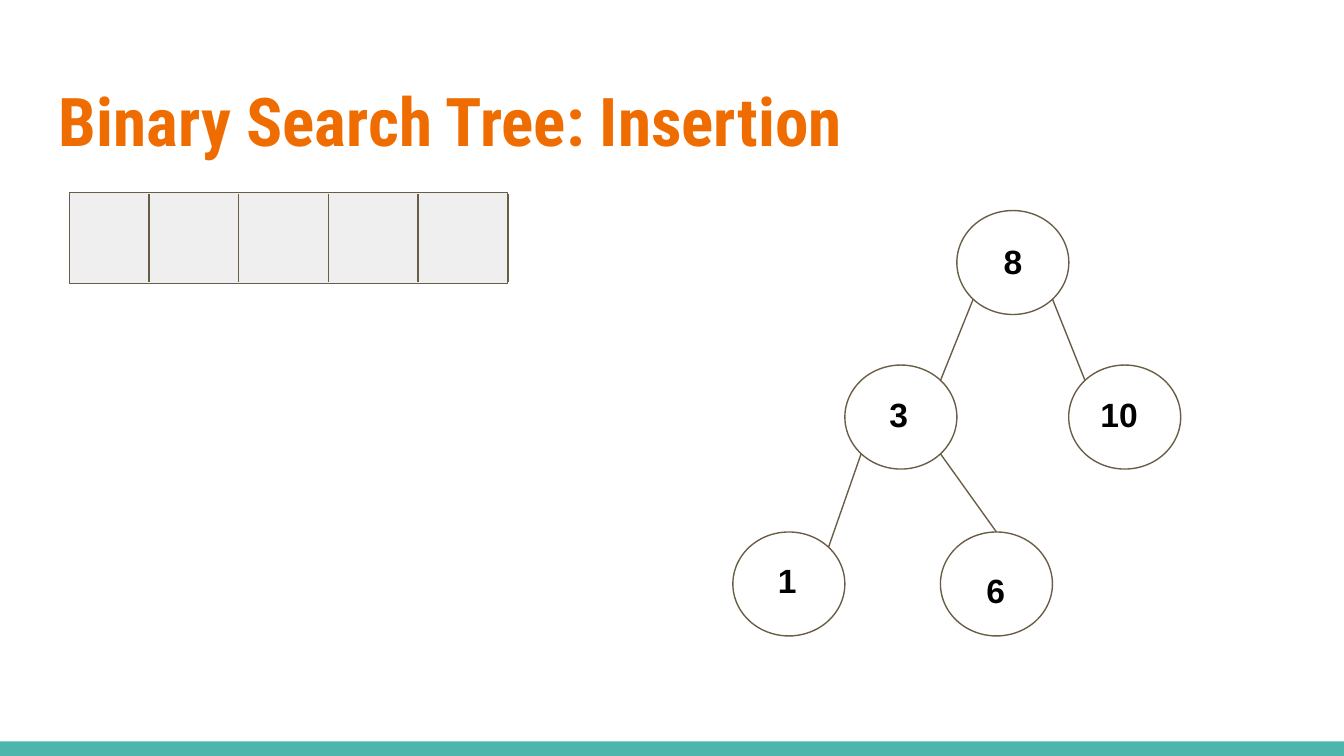
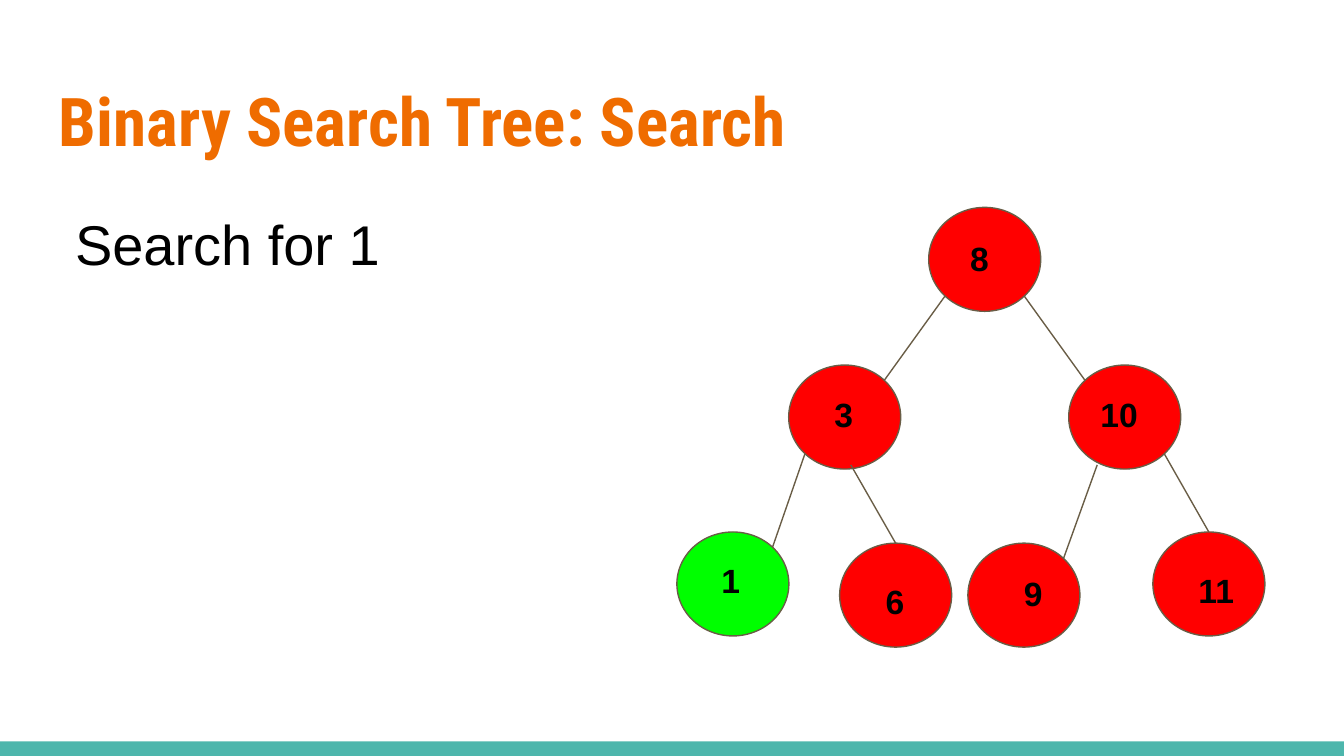
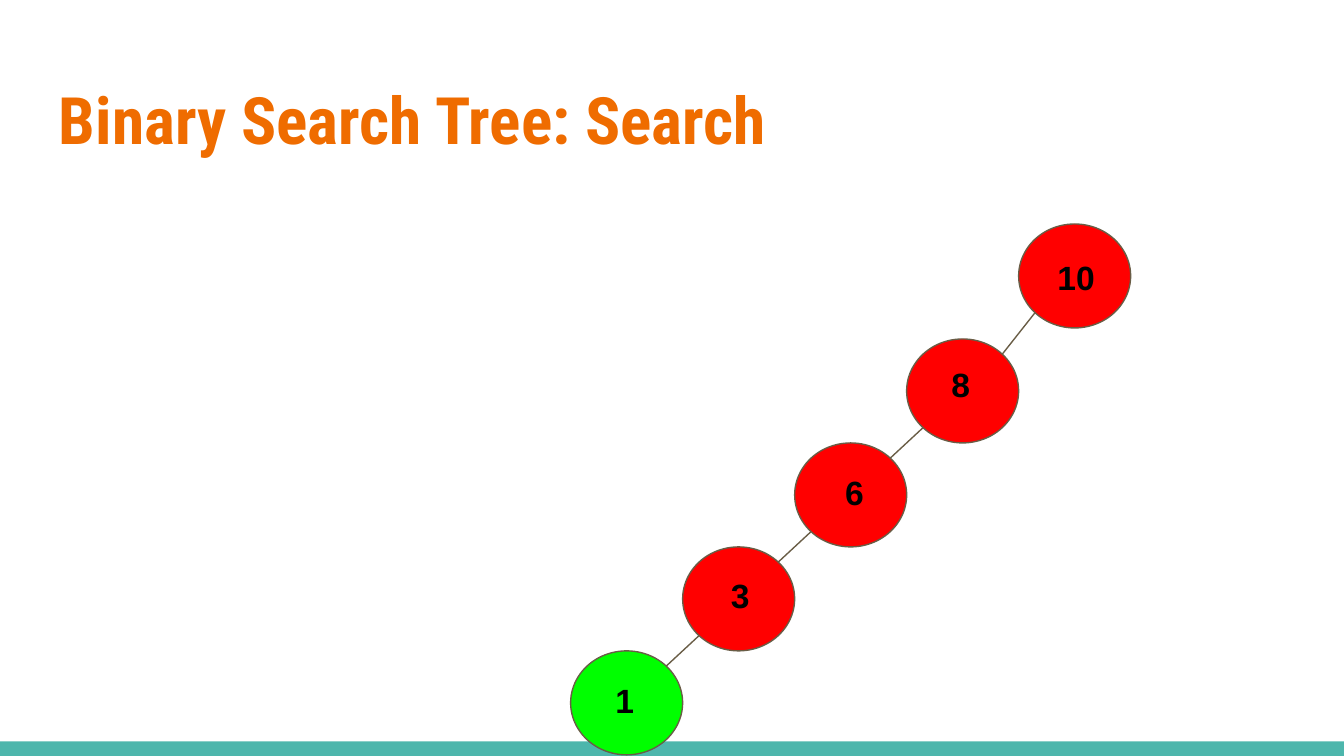
from dataclasses import dataclass

from lxml import etree
from pptx import Presentation
from pptx.dml.color import RGBColor
from pptx.enum.shapes import MSO_CONNECTOR, MSO_SHAPE
from pptx.enum.text import MSO_ANCHOR, PP_ALIGN
from pptx.oxml.ns import qn
from pptx.util import Pt

ELLIPSE, RECTANGLE = MSO_SHAPE.OVAL, MSO_SHAPE.RECTANGLE
STRAIGHT = MSO_CONNECTOR.STRAIGHT
LEFT, TOP_ANCHOR = PP_ALIGN.LEFT, MSO_ANCHOR.TOP


@dataclass(frozen=True)
class Theme:
    title_font: str = "Roboto Condensed"
    body_font: str = "Arial"
    title_color: str = "EF6C00"
    text_color: str = "000000"
    band: str = "4DB6AC"
    line: str = "695D46"
    cell: str = "EFEFEF"
    plain: str = "FFFFFF"
    visited: str = "FF0000"
    found: str = "00FF00"
    prompt_size: float = 30
    key_size: float = 18
    line_width: float = 0.75
    inset: float = 7.2


THEME = Theme()
SLIDE_WIDTH, SLIDE_HEIGHT = 720, 405
BAND = (0, 397.2, SLIDE_WIDTH, 7.8)
TITLE = (24.5, 35.3, 671, 55.4)
NODE_WIDTH, NODE_HEIGHT = 60, 55.7
KEY_HEIGHT = 29.5

# Places on a node's rim, as fractions of its two radii from the centre
TOP = (0, -1)
TOP_RIGHT = (0.71, -0.71)
BOTTOM_LEFT = (-0.71, 0.71)
BOTTOM_RIGHT = (0.71, 0.71)
LOW_MIDDLE = (0.11, 0.92)
LOW_LEFT = (-0.49, 0.92)

# Nodes: key -> (node left, node top, key left, key top, key width)
# Edges: (parent, rim place, child, rim place)
SLIDES = [
    {
        "title": "Binary Search Tree: Insertion",
        "title_size": 36,
        "cells": 5,
        "nodes": {
            "6": (503.8, 285, 521.3, 298.1, 34),
            "1": (392.6, 285, 409.7, 293, 34),
            "10": (572.5, 195.6, 582.5, 203.8, 40.3),
            "3": (452.6, 195.6, 469.4, 203.8, 34),
            "8": (512.6, 112.8, 530.6, 121.7, 34),
        },
        "edges": [
            ("8", BOTTOM_LEFT, "3", TOP_RIGHT),
            ("8", BOTTOM_RIGHT, "10", TOP_RIGHT[:0] + (-0.71, -0.71)),
            ("3", BOTTOM_LEFT, "1", TOP_RIGHT),
            ("3", BOTTOM_RIGHT, "6", TOP),
        ],
        "plain": True,
    },
    {
        "title": "Binary Search Tree: Search",
        "title_size": 36,
        "prompt": ("Search for 1", (33.1, 105.1, 262.8, 139.7)),
        "nodes": {
            "10": (572.5, 195.6, 582.5, 203.8, 40.3),
            "3": (422.5, 195.6, 439.9, 203.8, 34),
            "8": (497.5, 111.1, 512.6, 120.2, 34),
            "6": (449.8, 291, 467.3, 303.8, 34),
            "1": (362.6, 285, 379.4, 293, 34),
            "11": (617.6, 285, 635, 298.1, 52.6),
            "9": (518.5, 291, 541.4, 299.5, 34),
        },
        "edges": [
            ("8", BOTTOM_LEFT, "3", TOP_RIGHT),
            ("8", BOTTOM_RIGHT, "10", (-0.71, -0.71)),
            ("3", BOTTOM_LEFT, "1", TOP_RIGHT),
            ("3", LOW_MIDDLE, "6", TOP),
            ("10", LOW_LEFT, "9", TOP_RIGHT),
            ("10", BOTTOM_RIGHT, "11", TOP),
        ],
    },
    {
        "title": "Binary Search Tree: Search",
        "title_size": 35,
        "nodes": {
            "1": (305.7, 348.7, 322.6, 357.1, 34),
            "3": (365.7, 293, 384.5, 301, 34),
            "6": (425.7, 237.3, 445.7, 245.5, 40.3),
            "8": (485.7, 181.6, 502.6, 187.9, 34),
            "10": (545.7, 120, 559.4, 130.3, 40.3),
        },
        "edges": [
            (parent, BOTTOM_LEFT, child, TOP_RIGHT)
            for parent, child in (("10", "8"), ("8", "6"), ("6", "3"), ("3", "1"))
        ],
    },
]
FOUND_KEY = "1"

ARRAY_LEFT, ARRAY_TOP, ARRAY_WIDTH, ARRAY_HEIGHT = 37.4, 103, 234.7, 49
FIRST_DIVIDER, CELL_PITCH = 79.9, 48.05


def add_block(slide, kind, frame, fill, outlined=True):
    block = slide.shapes.add_shape(kind, *(Pt(value) for value in frame))
    block.shadow.inherit = False
    block.fill.solid()
    block.fill.fore_color.rgb = RGBColor.from_string(fill)
    if outlined:
        block.line.color.rgb = RGBColor.from_string(THEME.line)
        block.line.width = Pt(THEME.line_width)
    else:
        block.line.fill.background()


def add_line(slide, start, end):
    line = slide.shapes.add_connector(STRAIGHT, *(Pt(value) for value in start + end))
    line.line.color.rgb = RGBColor.from_string(THEME.line)
    line.line.width = Pt(THEME.line_width)
    etree.SubElement(line._element.spPr, qn("a:effectLst"))


def add_text(slide, text, frame, size, font=THEME.body_font, color=THEME.text_color, bold=True):
    box = slide.shapes.add_textbox(*(Pt(value) for value in frame))
    body = box.text_frame
    body.word_wrap = True
    body.vertical_anchor = TOP_ANCHOR
    body.margin_left = body.margin_right = Pt(THEME.inset)
    body.margin_top = body.margin_bottom = Pt(THEME.inset)
    para = body.paragraphs[0]
    para.alignment = LEFT
    span = para.add_run()
    span.text = text
    span.font.name = font
    span.font.size = Pt(size)
    span.font.bold = bold
    span.font.color.rgb = RGBColor.from_string(color)


def add_array(slide, cells):
    add_block(slide, RECTANGLE, (ARRAY_LEFT, ARRAY_TOP, ARRAY_WIDTH, ARRAY_HEIGHT), THEME.cell)
    for index in range(cells):
        x = FIRST_DIVIDER + index * CELL_PITCH
        add_line(slide, (x, ARRAY_TOP + 0.7), (x, ARRAY_TOP + ARRAY_HEIGHT - 0.7))


def rim_point(node, place):
    left, top = node[:2]
    return (left + NODE_WIDTH / 2 * (1 + place[0]), top + NODE_HEIGHT / 2 * (1 + place[1]))


def add_tree(slide, nodes, edges, plain):
    for key, (left, top, *_) in nodes.items():
        state = THEME.found if key == FOUND_KEY else THEME.visited
        fill = THEME.plain if plain else state
        add_block(slide, ELLIPSE, (left, top, NODE_WIDTH, NODE_HEIGHT), fill)
    for key, (_, _, left, top, width) in nodes.items():
        add_text(slide, key, (left, top, width, KEY_HEIGHT), THEME.key_size)
    for parent, start, child, end in edges:
        add_line(slide, rim_point(nodes[parent], start), rim_point(nodes[child], end))


def main():
    deck = Presentation()
    deck.slide_width, deck.slide_height = Pt(SLIDE_WIDTH), Pt(SLIDE_HEIGHT)
    for content in SLIDES:
        slide = deck.slides.add_slide(deck.slide_layouts[6])
        add_block(slide, RECTANGLE, BAND, THEME.band, outlined=False)
        add_text(slide, content["title"], TITLE, content["title_size"],
                 THEME.title_font, THEME.title_color)
        if "cells" in content:
            add_array(slide, content["cells"])
        if "prompt" in content:
            text, frame = content["prompt"]
            add_text(slide, text, frame, THEME.prompt_size, bold=False)
        add_tree(slide, content["nodes"], content["edges"], content.get("plain", False))
    deck.save("out.pptx")


if __name__ == "__main__":
    main()
